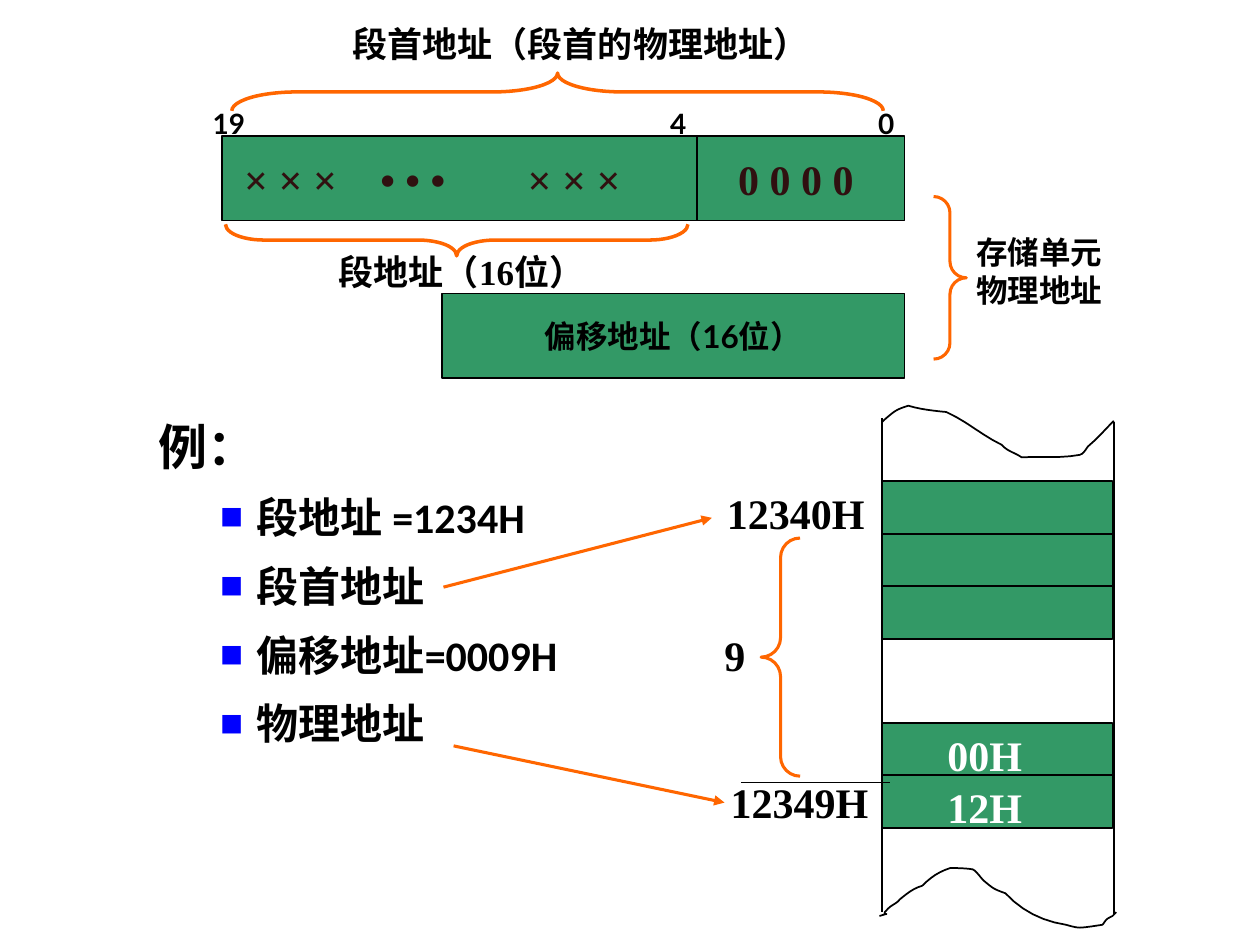
import pptx
import pptx.util
import pptx.dml.color
import pptx.enum.shapes
import pptx.enum.text
import pptx.oxml.ns
from lxml import etree
from pptx.util import Inches

COLORS = {"cell": "339966", "brace": "FF6600", "ink": "000000",
          "digits": "301010", "light": "FFFFFF", "bullet": "0000FF"}
SERIF, SANS, BODY, CJK = "Times New Roman", "Lato", "Calibri", "Noto Sans CJK SC"
SHAPES = pptx.enum.shapes.MSO_SHAPE
CENTER = pptx.enum.text.PP_ALIGN.CENTER

# Bezier curves in inches from the top left of the memory column: start, then control, control, end
TORN_TOP = [(0, .13), (.02, .11), (.09, .05), (.11, .04), (.14, .02), (.21, 0), (.21, 0),
            (.31, .03), (.41, .04), (.51, .05), (.67, .12), (.8, .24), (.95, .31),
            (.99, .36), (1.05, .37), (1.11, .41), (1.26, .4), (1.42, .42), (1.57, .39),
            (1.61, .38), (1.62, .33), (1.65, .31), (1.72, .25), (1.78, .18), (1.84, .12)]
TORN_BOTTOM = [(-.02, 4.05), (.11, 4.01), (-.04, 4.07), (.05, 3.99), (.08, 3.96), (.12, 3.95),
               (.14, 3.92), (.2, 3.87), (.25, 3.83), (.32, 3.81), (.39, 3.74), (.45, 3.7),
               (.54, 3.67), (.6, 3.67), (.66, 3.67), (.72, 3.68), (.75, 3.69), (.79, 3.76),
               (.82, 3.78), (.89, 3.84), (.9, 3.84), (.98, 3.87), (1.11, 4.01), (1.27, 4.09),
               (1.46, 4.12), (1.57, 4.15), (1.55, 4.15), (1.75, 4.12), (1.76, 4.11),
               (1.77, 4.09), (1.78, 4.08), (1.79, 4.07), (1.81, 4.06), (1.83, 4.05),
               (1.84, 4.04), (1.86, 4.02), (1.86, 4.02)]


def rgb(name):
    return pptx.dml.color.RGBColor.from_string(COLORS[name])


def set_line(shape, color="ink", width=1):
    shape.line.color.rgb = rgb(color)
    shape.line.width = pptx.util.Pt(width)


def style_text(paragraph, size, font, color="ink"):
    values = {"size": pptx.util.Pt(size), "name": font, "bold": True}
    for run in paragraph.runs:
        for name, value in values.items():
            setattr(run.font, name, value)
        run.font.color.rgb = rgb(color)
        east_asian = etree.SubElement(run.font._element, pptx.oxml.ns.qn("a:ea"))
        east_asian.set("typeface", CJK)
        run.font._element.find(pptx.oxml.ns.qn("a:latin")).addnext(east_asian)


def add_text(slide, left, top, width, height, lines, size=24, font=SERIF, color="ink"):
    box = slide.shapes.add_textbox(Inches(left), Inches(top), Inches(width), Inches(height))
    frame = box.text_frame
    frame.word_wrap = True
    frame.text = lines
    for paragraph in frame.paragraphs:
        style_text(paragraph, size, font, color)
    return frame


def add_cell(slide, left, top, width, height):
    cell = slide.shapes.add_shape(SHAPES.RECTANGLE, Inches(left), Inches(top),
                                  Inches(width), Inches(height))
    cell.shadow.inherit = False
    cell.fill.solid()
    cell.fill.fore_color.rgb = rgb("cell")
    set_line(cell)
    return cell


def add_brace(slide, left, top, width, height, bend, rotation=0, line_width=1.75,
              kind=SHAPES.LEFT_BRACE):
    """Place a brace so that it fills the given box after a quarter turn, if any."""
    center_x, center_y = left + width / 2, top + height / 2
    if rotation:
        width, height = height, width
    brace = slide.shapes.add_shape(kind, Inches(center_x - width / 2),
                                   Inches(center_y - height / 2), Inches(width), Inches(height))
    brace.rotation = rotation
    brace.shadow.inherit = False
    brace.adjustments[0] = bend
    brace.adjustments[1] = .5
    brace.fill.background()
    set_line(brace, "brace", line_width)


def add_line(slide, start_x, start_y, end_x, end_y, color="ink", width=1, arrow=False):
    line = slide.shapes.add_connector(pptx.enum.shapes.MSO_CONNECTOR.STRAIGHT, Inches(start_x),
                                      Inches(start_y), Inches(end_x), Inches(end_y))
    set_line(line, color, width)
    if arrow:
        etree.SubElement(line.line._get_or_add_ln(),
                         pptx.oxml.ns.qn("a:tailEnd")).set("type", "triangle")
    etree.SubElement(line._element.spPr, pptx.oxml.ns.qn("a:effectLst"))


def add_curve(slide, left, top, points, steps=6):
    """Draw joined cubic Bezier curves as one open outline."""
    outline = [points[0]]
    for first in range(0, len(points) - 1, 3):
        a, b, c, d = points[first:first + 4]
        for step in range(1, steps + 1):
            t = step / steps
            u = 1 - t
            outline.append(tuple(u**3 * a[i] + 3 * u * u * t * b[i] + 3 * u * t * t * c[i]
                                 + t**3 * d[i] for i in (0, 1)))
    outline = [(Inches(left + x), Inches(top + y)) for x, y in outline]
    builder = slide.shapes.build_freeform(*outline[0])
    builder.add_line_segments(outline[1:], close=False)
    curve = builder.convert_to_shape()
    curve.shadow.inherit = False
    curve.fill.background()
    set_line(curve)


def add_segment_address(slide, left, top):
    """The 20-bit segment start address with its braces and bit numbers."""
    add_text(slide, left + .83, top + .86, 2.58, .43, "段地址（16位）", 20)
    add_brace(slide, left + .03, top + .7, 3.67, .25, 1.22, 270, 2)
    add_cell(slide, left + 3.77, top, 1.65, .67)
    add_cell(slide, left, top, 3.77, .67)
    for offset, width, digits in ((.08, 1.1, "× × ×"), (1.16, 1.1, "• • •"),
                                  (2.33, 1.5, "× × ×"), (4, 1.25, "0 0 0 0")):
        add_text(slide, left + offset, top + .09, width, .5, digits, color="digits")
    add_text(slide, left + .94, top - .95, 4.02, .43, "段首地址（段首的物理地址）", 20)
    add_brace(slide, left + .08, top - .5, 5.17, .3, 1.72, 90, 2)
    for offset, width, bit in ((-.17, .63, "19"), (3.46, .39, "4"), (5.11, .39, "0")):
        add_text(slide, left + offset, top - .28, width, .37, bit, 16, SANS)


def add_offset_address(slide, left, top):
    cell = add_cell(slide, left, top, 3.67, .67)
    frame = cell.text_frame
    frame.word_wrap = False
    frame.text = "偏移地址（16位）"
    frame.paragraphs[0].alignment = CENTER
    style_text(frame.paragraphs[0], 18, SANS)


def add_unit_address(slide, left, top):
    add_brace(slide, left, top, .26, 1.29, .5, kind=SHAPES.RIGHT_BRACE)
    add_text(slide, left + .24, top + .24, 1.21, .71, "存储单元\n物理地址", 18,
             BODY).word_wrap = False


def add_example_list(slide, left, top):
    items = ["例：", "段地址 =1234H", "段首地址", "偏移地址=0009H", "物理地址"]
    frame = add_text(slide, left, top, 4.21, 3.78, "\n".join(items), 24, BODY)
    for index, paragraph in enumerate(frame.paragraphs):
        paragraph.line_spacing = 1.2
        properties = paragraph._p.get_or_add_pPr()
        properties.set("marL", str(Inches(.78 if index else .29)))
        properties.set("indent", str(Inches(-.29)))
        if not index:
            paragraph.runs[0].font.size = pptx.util.Pt(28)
            paragraph.runs[0].font.name = CJK
            continue
        paragraph.level = 1
        paragraph.space_before = pptx.util.Pt(3.6)
        paragraph.space_after = pptx.util.Pt(1.2)
        color = etree.SubElement(properties, pptx.oxml.ns.qn("a:buClr"))
        etree.SubElement(color, pptx.oxml.ns.qn("a:srgbClr")).set("val", COLORS["bullet"])
        for tag, name, value in (("a:buSzPct", "val", "55000"), ("a:buFont", "typeface", CJK),
                                 ("a:buChar", "char", "■")):
            etree.SubElement(properties, pptx.oxml.ns.qn(tag)).set(name, value)


def add_memory(slide, left, top):
    """The torn memory column with its filled cells."""
    for offset in (.6, 1.02, 1.43, 2.52, 2.93):
        add_cell(slide, left, top + offset, 1.83, .42)
    add_line(slide, left, top + .1, left, top + 4.02)
    add_line(slide, left + 1.84, top + .13, left + 1.84, top + 4.04)
    for points in (TORN_TOP, TORN_BOTTOM):
        add_curve(slide, left, top, points)
    for offset, value in ((2.52, "00H"), (2.93, "12H")):
        add_text(slide, left + .42, top + offset, .92, .5, value, color="light")


def add_address_links(slide, left, top):
    """Arrows from the list to the addresses beside the memory column."""
    add_text(slide, left + 2.15, top, 1.33, .5, "12340H")
    add_line(slide, left, top + .84, left + 2.13, top + .29, "brace", 1.75, True)
    add_text(slide, left + 2.18, top + 2.29, 1.33, .5, "12349H")
    add_line(slide, left + .08, top + 2.1, left + 2.23, top + 2.55, "brace", 1.75, True)
    add_brace(slide, left + 2.52, top + .45, .31, 1.89, .5)
    add_text(slide, left + 2.13, top + 1.13, .44, .5, "9")
    add_line(slide, left + 2.36, top + 2.39, left + 3.54, top + 2.39)


def main():
    presentation = pptx.Presentation()
    presentation.slide_width, presentation.slide_height = Inches(10), Inches(7.5)
    slide = presentation.slides.add_slide(presentation.slide_layouts[6])
    add_segment_address(slide, 1.76, 1.08)
    add_example_list(slide, 1.16, 3.16)
    add_memory(slide, 7, 3.22)
    add_address_links(slide, 3.52, 3.82)
    add_offset_address(slide, 3.51, 2.33)
    add_unit_address(slide, 7.41, 1.56)
    presentation.save("out.pptx")


if __name__ == "__main__":
    main()
